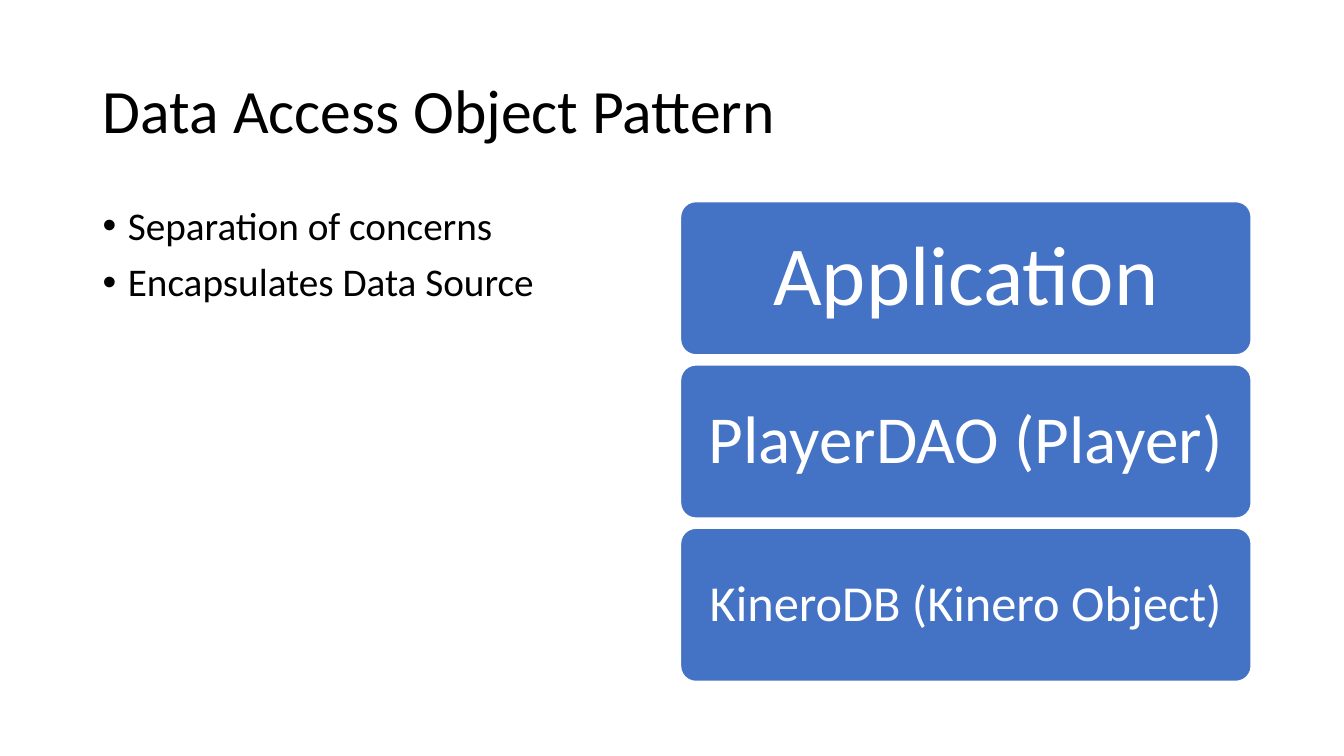
from lxml.etree import SubElement
from pptx import Presentation
from pptx.dml.color import RGBColor
from pptx.enum.shapes import MSO_SHAPE
from pptx.enum.text import MSO_ANCHOR, MSO_AUTO_SIZE, PP_ALIGN
from pptx.oxml.ns import qn
from pptx.util import Inches, Pt

BLACK = RGBColor(0x00, 0x00, 0x00)
WHITE = RGBColor(0xFF, 0xFF, 0xFF)
BLUE = RGBColor(0x44, 0x72, 0xC4)
FONT = "Calibri"

CONTENT_TOP = 2
LAYER_PITCH = 1.62

# Each layer: name, text size in points, text inset in inches
LAYERS = [
    ("Application", 60, 0.25),
    ("PlayerDAO (Player)", 48, 0.2),
    ("KineroDB (Kinero Object)", 36, 0.15),
]
BENEFITS = ["Separation of concerns", "Encapsulates Data Source"]


def write_text(frame, lines, size, color=BLACK, align=PP_ALIGN.LEFT,
               anchor=MSO_ANCHOR.TOP, before=0, bullet=False):
    frame.word_wrap = True
    frame.auto_size = MSO_AUTO_SIZE.NONE
    frame.vertical_anchor = anchor
    for index, line in enumerate(lines):
        paragraph = frame.add_paragraph() if index else frame.paragraphs[0]
        paragraph.alignment = align
        paragraph.line_spacing = 0.9
        paragraph.space_before = Pt(before)
        run = paragraph.add_run()
        run.text = line
        run.font.name = FONT
        run.font.size = Pt(size)
        run.font.color.rgb = color
        if bullet:
            add_bullet(paragraph)


def add_bullet(paragraph):
    properties = paragraph._p.get_or_add_pPr()
    properties.set("marL", str(Inches(0.25)))
    properties.set("indent", str(Inches(-0.25)))
    SubElement(properties, qn("a:buFont"), typeface="Arial")
    SubElement(properties, qn("a:buChar"), char="•")


def place_title(slide, text):
    title = slide.shapes.title
    title.left, title.top = Inches(0.92), Inches(0.4)
    title.width, title.height = Inches(11.5), Inches(1.45)
    write_text(title.text_frame, [text], 44, anchor=MSO_ANCHOR.MIDDLE)


def add_benefits(slide):
    benefits = slide.shapes.add_textbox(
        Inches(0.92), Inches(CONTENT_TOP), Inches(5.67), Inches(4.76))
    write_text(benefits.text_frame, BENEFITS, 28, before=10, bullet=True)


def add_layer(slide, top, name, size, inset):
    layer = slide.shapes.add_shape(
        MSO_SHAPE.ROUNDED_RECTANGLE,
        Inches(6.75), Inches(top), Inches(5.66), Inches(1.52))
    layer.adjustments[0] = 0.1
    layer.shadow.inherit = False
    layer.fill.solid()
    layer.fill.fore_color.rgb = BLUE
    layer.line.color.rgb = WHITE
    layer.line.width = Pt(1)
    frame = layer.text_frame
    frame.margin_left = frame.margin_right = Inches(inset)
    frame.margin_top = frame.margin_bottom = Inches(inset)
    write_text(frame, [name], size, color=WHITE, align=PP_ALIGN.CENTER,
               anchor=MSO_ANCHOR.MIDDLE)


def main():
    presentation = Presentation()
    presentation.slide_width = Inches(13.33)
    presentation.slide_height = Inches(7.5)
    title_only = presentation.slide_layouts[5]
    slide = presentation.slides.add_slide(title_only)

    # Title and benefits
    place_title(slide, "Data Access Object Pattern")
    add_benefits(slide)

    # Stack of layers, from the application down to the data source
    for row, (name, size, inset) in enumerate(LAYERS):
        add_layer(slide, CONTENT_TOP + row * LAYER_PITCH, name, size, inset)

    presentation.save("out.pptx")


if __name__ == "__main__":
    main()
